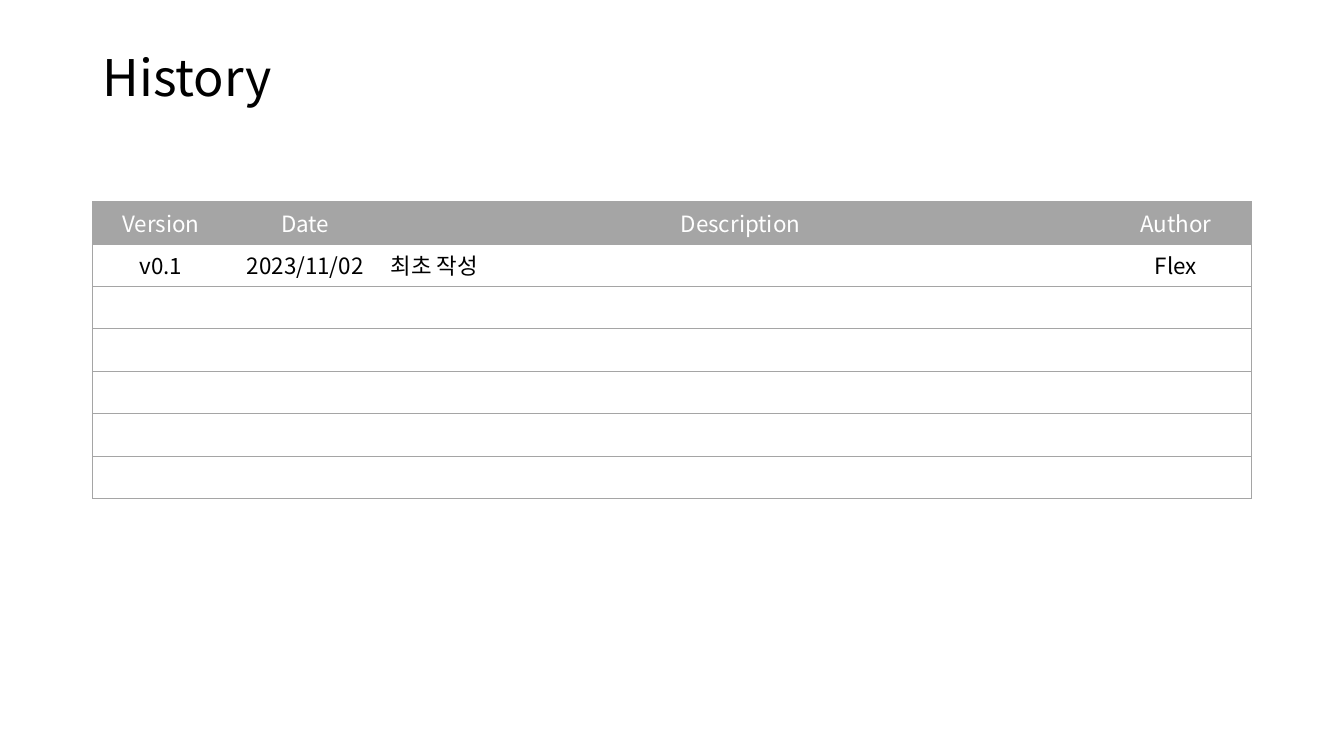
from lxml.etree import SubElement
from pptx import Presentation
from pptx.dml.color import RGBColor
from pptx.enum.text import MSO_ANCHOR, MSO_AUTO_SIZE, PP_ALIGN
from pptx.oxml.ns import qn
from pptx.util import Pt

COLORS = {"text": "000000", "header_text": "FFFFFF", "grid": "A5A5A5"}
FONT = "Noto Sans CJK KR"
COLUMN_WIDTHS = [98, 108, 514, 108]
HISTORY = [
    ["Version", "Date", "Description", "Author"],
    ["v0.1", "2023/11/02", "최초 작성", "Flex"],
] + [[""] * 4 for _ in range(5)]


def put_text(frame, text, size=16, color="text", align=PP_ALIGN.CENTER, spacing=None):
    """Write one formatted paragraph, keeping the size in empty ones too."""
    paragraph = frame.paragraphs[0]
    paragraph.alignment = align
    paragraph.line_spacing = spacing
    if text:
        run = paragraph.add_run()
        run.text = text
        run.font.size = Pt(size)
        run.font.bold = False
        run.font.name = FONT
        run.font.color.rgb = RGBColor.from_string(COLORS[color])
        properties = run.font._element
    else:
        properties = SubElement(paragraph._p, qn("a:endParaRPr"), sz=str(size * 100))
        SubElement(properties, qn("a:latin"), typeface=FONT)
    SubElement(properties, qn("a:ea"), typeface=FONT)


def set_borders(cell, sides):
    """Draw the grid line on the named sides and clear the others."""
    properties = cell._tc.get_or_add_tcPr()
    for side in "LRTB":
        border = SubElement(properties, qn(f"a:ln{side}"), w=str(Pt(0.5)))
        if side in sides:
            fill = SubElement(border, qn("a:solidFill"))
            SubElement(fill, qn("a:srgbClr"), val=COLORS["grid"])
        else:
            SubElement(border, qn("a:noFill"))


def add_title(slide, left, top, width, height):
    """Place the slide title in the given box."""
    title = slide.shapes.title
    title.left, title.top, title.width, title.height = map(Pt, (left, top, width, height))
    frame = title.text_frame
    frame.vertical_anchor = MSO_ANCHOR.MIDDLE
    frame.auto_size = MSO_AUTO_SIZE.NONE
    put_text(frame, "History", size=36, align=PP_ALIGN.LEFT, spacing=0.9)


def add_history(slide, left, top, width, height):
    """Place the version history table in the given box."""
    box = map(Pt, (left, top, width, height))
    history = slide.shapes.add_table(len(HISTORY), len(COLUMN_WIDTHS), *box).table
    history.first_row = history.horz_banding = False
    for column, share in zip(history.columns, COLUMN_WIDTHS):
        column.width = Pt(width * share / sum(COLUMN_WIDTHS))
    last_column = len(COLUMN_WIDTHS) - 1
    for row_index, entry in enumerate(HISTORY):
        history.rows[row_index].height = Pt(height / len(HISTORY))
        header = row_index == 0
        for column_index, text in enumerate(entry):
            cell = history.cell(row_index, column_index)
            description = column_index == 2 and not header
            put_text(
                cell.text_frame,
                text,
                color="header_text" if header else "text",
                align=PP_ALIGN.LEFT if description else PP_ALIGN.CENTER,
            )
            outer = {0: "L", last_column: "R"}.get(column_index, "")
            set_borders(cell, "TB" + outer)
            if header:
                cell.fill.solid()
                cell.fill.fore_color.rgb = RGBColor.from_string(COLORS["grid"])
            else:
                cell.fill.background()


def main():
    """Build the history slide and save it."""
    deck = Presentation()
    deck.slide_width, deck.slide_height = Pt(960), Pt(540)
    slide = deck.slides.add_slide(deck.slide_layouts[5])
    add_title(slide, 66, 28.8, 828, 57.6)
    add_history(slide, 66, 144, 828, 204.4)
    deck.save("out.pptx")


if __name__ == "__main__":
    main()
